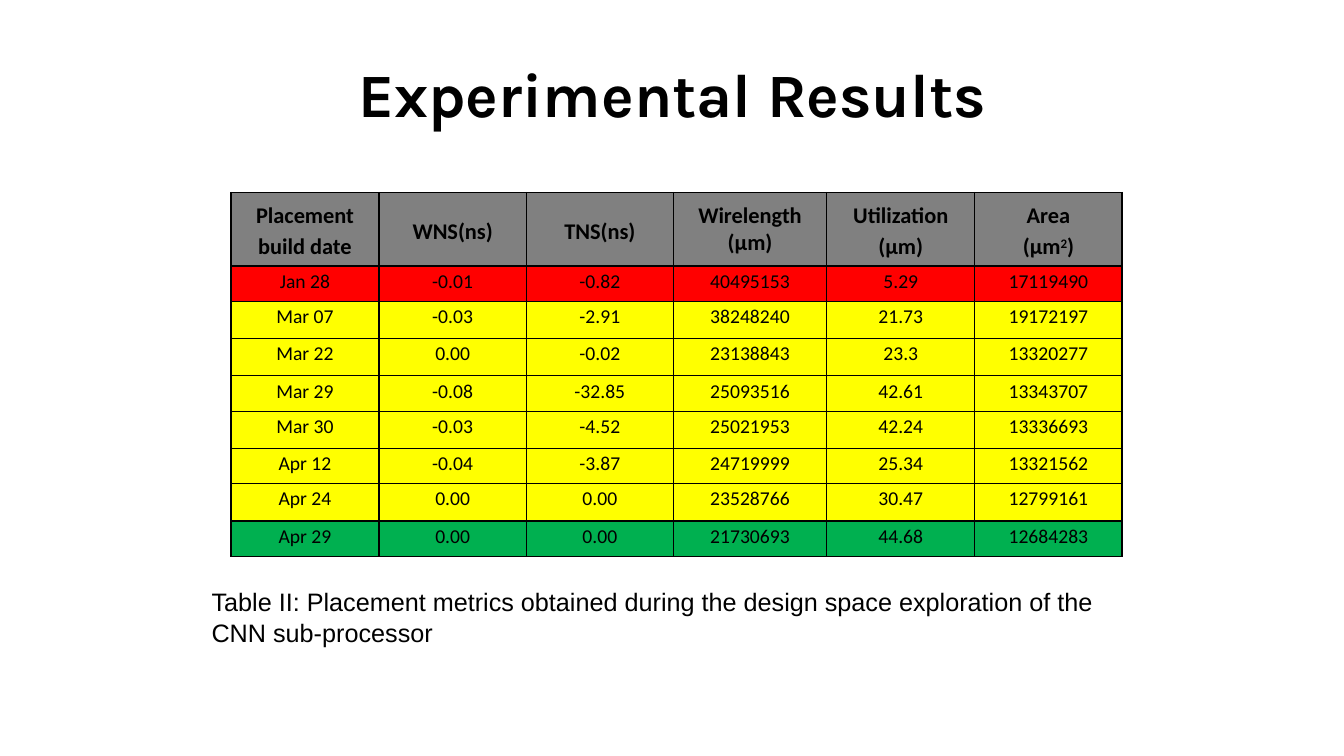
import dataclasses

import pptx
import pptx.dml.color
import pptx.enum.text
import pptx.oxml
import pptx.oxml.ns
import pptx.util

EMU_PER_PX = 9144  # 100 px to the inch
ALIGN = pptx.enum.text.PP_ALIGN
ANCHOR = pptx.enum.text.MSO_ANCHOR


@dataclasses.dataclass(frozen=True)
class Theme:
    ink: str = "000000"
    header: str = "808080"
    worst: str = "FF0000"
    middle: str = "FFFF00"
    best: str = "00B050"
    title_font: str = "Karla"
    table_font: str = "Calibri"
    caption_font: str = "Arial"
    title_size: int = 44
    header_size: int = 16
    body_size: int = 14
    caption_size: int = 18


THEME = Theme()

# A tuple inside a heading is one paragraph whose every second run is superscript.
HEADINGS = [
    ["Placement build date"],
    ["WNS(ns)"],
    ["TNS(ns)"],
    ["Wirelength", "(µm)"],
    ["Utilization", "(µm)"],
    ["Area", ("(µm", "2", ")")],
]
BUILDS = [
    ["Jan 28", "-0.01", "-0.82", "40495153", "5.29", "17119490"],
    ["Mar 07", "-0.03", "-2.91", "38248240", "21.73", "19172197"],
    ["Mar 22", "0.00", "-0.02", "23138843", "23.3", "13320277"],
    ["Mar 29", "-0.08", "-32.85", "25093516", "42.61", "13343707"],
    ["Mar 30", "-0.03", "-4.52", "25021953", "42.24", "13336693"],
    ["Apr 12", "-0.04", "-3.87", "24719999", "25.34", "13321562"],
    ["Apr 24", "0.00", "0.00", "23528766", "30.47", "12799161"],
    ["Apr 29", "0.00", "0.00", "21730693", "44.68", "12684283"],
]
COLUMN_WIDTHS = [147, 146, 146, 152, 147, 146]
ROW_HEIGHTS = [73, 35, 37, 37, 35, 37, 35, 37, 35]
WIRELENGTH_COLUMN = 3


def px(length):
    return pptx.util.Emu(length * EMU_PER_PX)


def rgb(colour):
    return pptx.dml.color.RGBColor.from_string(colour)


def write_text(frame, paragraphs, *, font, size, bold=False, align=ALIGN.LEFT, line_spacing=1.0):
    """Fill a text frame; a tuple paragraph alternates normal and superscript runs."""
    frame.word_wrap = True
    for number, content in enumerate(paragraphs):
        paragraph = frame.add_paragraph() if number else frame.paragraphs[0]
        paragraph.alignment = align
        paragraph.line_spacing = line_spacing
        runs = (content,) if isinstance(content, str) else content
        for position, text in enumerate(runs):
            run = paragraph.add_run()
            run.text = text
            run.font.name = font
            run.font.size = pptx.util.Pt(size)
            run.font.bold = bold
            run.font.color.rgb = rgb(THEME.ink)
            if position % 2:
                run.font._element.set("baseline", "30000")


def add_text_box(slide, box, text, *, anchor=ANCHOR.TOP, **text_format):
    shape = slide.shapes.add_textbox(*map(px, box))
    shape.text_frame.vertical_anchor = anchor
    write_text(shape.text_frame, [text], **text_format)


def add_title(slide, box):
    add_text_box(slide, box, "Experimental Results", anchor=ANCHOR.MIDDLE, align=ALIGN.CENTER,
                 font=THEME.title_font, size=THEME.title_size, bold=True)


def add_caption(slide, box):
    add_text_box(slide, box, "Table II: Placement metrics obtained during the design space "
                 "exploration of the CNN sub-processor",
                 font=THEME.caption_font, size=THEME.caption_size)


def style_cell(cell, fill, anchor):
    cell.margin_left = cell.margin_right = px(7)
    cell.margin_top = cell.margin_bottom = 0
    cell.vertical_anchor = anchor
    properties = cell._tc.get_or_add_tcPr()
    for side in ("lnL", "lnR", "lnT", "lnB"):
        properties.append(pptx.oxml.parse_xml(
            f'<a:{side} {pptx.oxml.ns.nsdecls("a")} w="12700"><a:solidFill>'
            f'<a:srgbClr val="{THEME.ink}"/></a:solidFill></a:{side}>'))
    cell.fill.solid()
    cell.fill.fore_color.rgb = rgb(fill)


def add_metrics_table(slide, left, top):
    shape = slide.shapes.add_table(len(ROW_HEIGHTS), len(COLUMN_WIDTHS), px(left), px(top),
                                   px(sum(COLUMN_WIDTHS)), px(sum(ROW_HEIGHTS)))
    table = shape.table
    table.horz_banding = False
    for column, width in zip(table.columns, COLUMN_WIDTHS):
        column.width = px(width)
    for row, height in zip(table.rows, ROW_HEIGHTS):
        row.height = px(height)

    for column, heading in enumerate(HEADINGS):
        cell = table.cell(0, column)
        style_cell(cell, THEME.header, ANCHOR.MIDDLE)
        write_text(cell.text_frame, heading, font=THEME.table_font, size=THEME.header_size,
                   bold=True, align=ALIGN.CENTER,
                   line_spacing=1.0 if column == WIRELENGTH_COLUMN else 1.15)

    row_fills = [THEME.worst] + [THEME.middle] * (len(BUILDS) - 2) + [THEME.best]
    for row, (build, fill) in enumerate(zip(BUILDS, row_fills), start=1):
        for column, value in enumerate(build):
            cell = table.cell(row, column)
            style_cell(cell, fill, ANCHOR.TOP)
            write_text(cell.text_frame, [value], font=THEME.table_font, size=THEME.body_size,
                       align=ALIGN.CENTER, line_spacing=1.15)


def main():
    presentation = pptx.Presentation()
    presentation.slide_width = px(1333)
    presentation.slide_height = px(750)
    slide = presentation.slides.add_slide(presentation.slide_layouts[6])
    add_title(slide, (67, 30, 1200, 125))
    add_metrics_table(slide, 229, 191)
    add_caption(slide, (200, 577, 938, 71))
    presentation.save("out.pptx")


if __name__ == "__main__":
    main()
